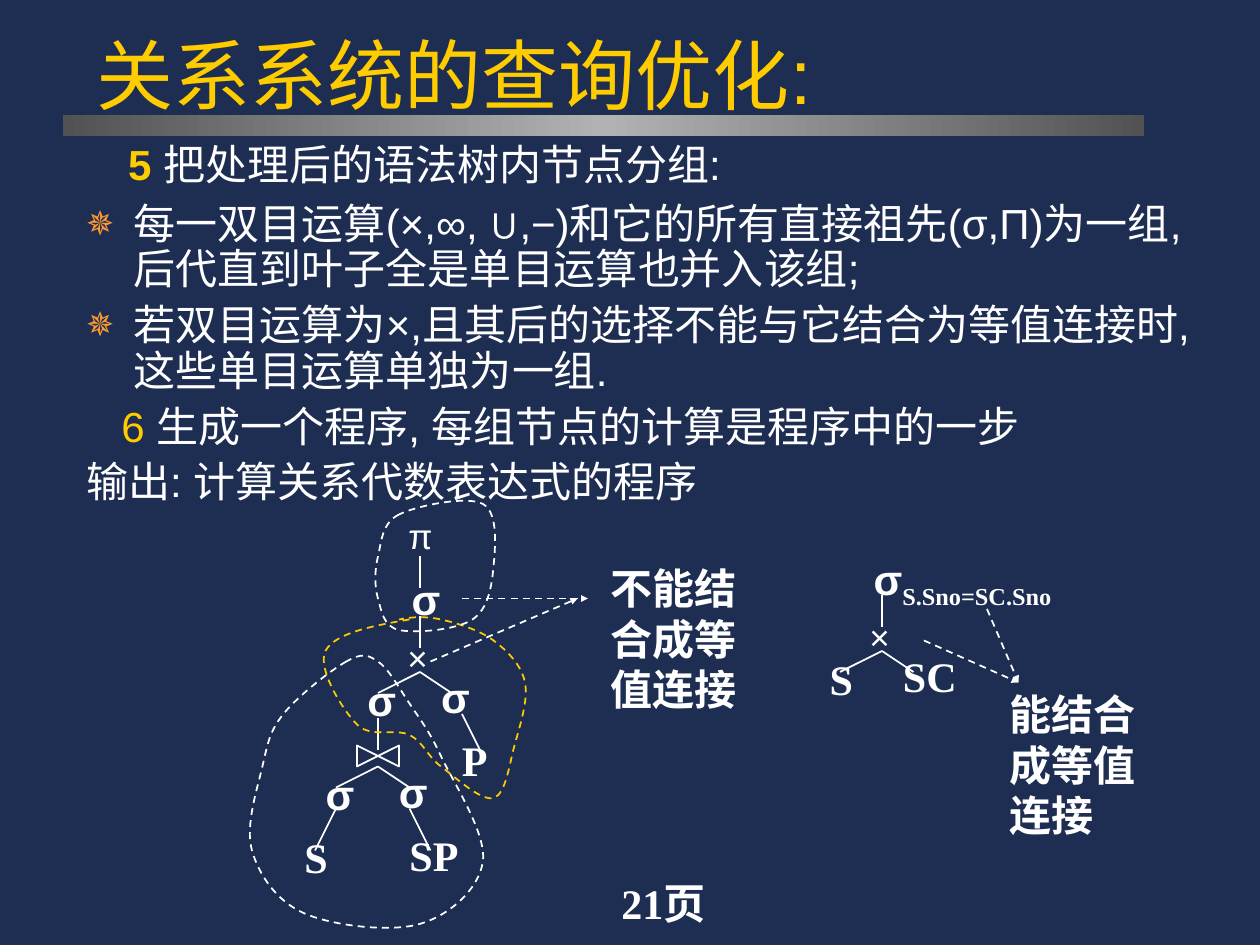
import copy
from dataclasses import dataclass

from pptx import Presentation
from pptx import util as u
from pptx.dml.color import RGBColor
from pptx.enum import dml, shapes, text
from pptx.oxml.ns import qn
from lxml import etree

COLS, ROWS, PER_INCH = 120, 90, 12
COLORS = {"bg": "1E2E53", "white": "FFFFFF", "gold": "FFCC00",
          "bullet": "FF9933", "dark": "525252", "light": "B2B2B2"}
SANS, SERIF = "Arial", "Times New Roman"


@dataclass
class Label:
    text: str
    x: float
    y: float
    w: float = 3
    font: str = SANS
    size: float = 24
    bold: bool = True


@dataclass
class Line:
    x1: float
    y1: float
    x2: float
    y2: float
    arrow: bool = False


@dataclass
class Curve:
    points: list
    color: str = "white"
    closed: bool = True


LABELS = [
    Label("π", 38.9, 49, size=20, bold=False),
    Label("σ", 39.2, 54.6),
    Label("×", 38.8, 60.6, size=20, bold=False),
    Label("σ", 42, 64),
    Label("σ", 35, 64.2),
    Label("σ", 38, 73),
    Label("σ", 31, 73.2),
    Label("S", 29, 79.2, font=SERIF),
    Label("SP", 39, 79, 5, SERIF),
    Label("P", 44, 70, font=SERIF),
    Label("×", 82.8, 58.6, size=20, bold=False),
    Label("SC", 86, 62, 6, SERIF),
    Label("S", 79, 62.2, font=SERIF),
]
LINES = [
    Line(40, 53, 40, 56), Line(40, 58.7, 40, 61.7),
    Line(40, 64, 36, 66), Line(40, 64, 43, 66),
    Line(36, 73, 32, 75), Line(36, 73, 39, 75),
    Line(36, 68.4, 36, 71.4), Line(32, 77, 30, 81),
    Line(39, 77, 41, 81), Line(44, 68, 46, 72),
    Line(84, 56.7, 84, 59.7), Line(84, 62, 80, 64), Line(84, 62, 87, 64),
    Line(44, 57, 56, 57, True), Line(41, 63, 55, 57, True),
    Line(94, 58, 97, 65, True), Line(88, 61, 97, 65, True),
]
CURVES = [
    Curve([(33, 63), (27, 68), (25, 73), (24, 81), (29, 87), (40, 88),
           (46, 82), (42, 72), (39, 67), (36, 63)]),
    Curve([(52.5, 58.4), (39, 59), (31, 62), (34, 69), (39, 70), (42, 73),
           (47, 76), (49, 71), (50, 65), (47, 61), (42, 59), (38, 59),
           (35, 60.5)], "gold", False),
    Curve([(38, 49), (36, 53), (36, 57), (38, 60), (45, 59), (47, 54),
           (46, 48)]),
]


def cells(*values: float) -> list:
    return [u.Inches(v / PER_INCH) for v in values]


def rgb(name: str) -> RGBColor:
    return RGBColor.from_string(COLORS[name])


def write(p, words, size=24, font=SANS, color="white", bold=False, baseline=0):
    r = p.add_run()
    r.text = words
    r.font.size, r.font.name, r.font.bold = u.Pt(size), font, bold
    r.font.color.rgb = rgb(color)
    if baseline:
        r._r.get_or_add_rPr().set("baseline", str(baseline * 1000))


def frame(sp, inset=(0.1, 0.05), anchor=text.MSO_ANCHOR.TOP):
    tf = sp.text_frame
    tf.word_wrap, tf.auto_size = True, text.MSO_AUTO_SIZE.NONE
    tf.vertical_anchor = anchor
    tf.margin_left = tf.margin_right = u.Inches(inset[0])
    tf.margin_top = tf.margin_bottom = u.Inches(inset[1])
    return tf


def text_box(s, x, y, w, h, inset=(0.1, 0.05)):
    return frame(s.shapes.add_textbox(*cells(x, y, w, h)), inset).paragraphs[0]


def place(sp, x, y, w, h):
    sp.left, sp.top, sp.width, sp.height = cells(x, y, w, h)


def format_item(p, left: float, first: float, bullet: str = ""):
    p.alignment = text.PP_ALIGN.LEFT
    p.line_spacing, p.space_before, p.space_after = 0.9, u.Pt(6), u.Pt(0)
    ppr = p._p.get_or_add_pPr()
    ppr.set("marL", str(u.Inches(left)))
    ppr.set("indent", str(u.Inches(first)))
    ppr.set("hangingPunct", "0")
    if not bullet:
        etree.SubElement(ppr, qn("a:buNone"))
        return
    color = etree.SubElement(ppr, qn("a:buClr"))
    etree.SubElement(color, qn("a:srgbClr"), val=COLORS["bullet"])
    etree.SubElement(ppr, qn("a:buSzPct"), val="80000")
    etree.SubElement(ppr, qn("a:buChar"), char=bullet)


def stroke(sp, color: str = "white", dashed: bool = False):
    sp.line.color.rgb, sp.line.width = rgb(color), u.Pt(1)
    if dashed:
        sp.line.dash_style = dml.MSO_LINE.DASH


def draw_line(s, line: Line):
    c = s.shapes.add_connector(shapes.MSO_CONNECTOR.STRAIGHT,
                               *cells(line.x1, line.y1, line.x2, line.y2))
    stroke(c, dashed=line.arrow)
    if line.arrow:
        etree.SubElement(c.line._get_or_add_ln(), qn("a:tailEnd"),
                         type="triangle", w="sm", len="sm")
    etree.SubElement(c._element.spPr, qn("a:effectLst"))


def bezier_points(curve: Curve) -> list:
    pts = curve.points
    if curve.closed:
        pts = [pts[-1], *pts, *pts[:2]]
    out = [pts[1]]
    for a, b, c, d in zip(pts, pts[1:], pts[2:], pts[3:]):
        out.append(tuple(q + (r - p) / 6 for p, q, r in zip(a, b, c)))
        out.append(tuple(q - (r - p) / 6 for p, q, r in zip(b, c, d)))
        out.append(c)
    return [tuple(cells(*pt)) for pt in out]


def draw_curve(s, curve: Curve):
    pts = bezier_points(curve)
    builder = s.shapes.build_freeform(*pts[0])
    builder.add_line_segments(pts[1:], close=curve.closed)
    sp = builder.convert_to_shape()
    segments = sp._element.spPr.findall(".//" + qn("a:lnTo"))
    for triple in zip(segments[::3], segments[1::3], segments[2::3]):
        bend = etree.Element(qn("a:cubicBezTo"))
        triple[0].addprevious(bend)
        for segment in triple:
            bend.append(segment[0])
            segment.getparent().remove(segment)
    sp.shadow.inherit = False
    sp.fill.background()
    stroke(sp, curve.color, True)


def draw_bar(s):
    sp = s.shapes.add_shape(shapes.MSO_SHAPE.RECTANGLE, *cells(6, 11, 103, 2))
    sp.shadow.inherit = False
    sp.line.fill.background()
    sp.fill.gradient()
    sp.fill.gradient_angle = 0
    stops = sp._element.spPr.find(".//" + qn("a:gsLst"))
    stops.append(copy.deepcopy(stops[0]))
    for stop, pos, color in zip(sp.fill.gradient_stops, (0, 0.5, 1),
                                ("dark", "light", "dark")):
        stop.position, stop.color.rgb = pos, rgb(color)


def fill_body(sp):
    items = [
        (0.21, 0, "", [(" ", {"size": 32}), ("5 ", {"color": "gold", "bold": True}),
                       ("把处理后的语法树内节点分组:", {})]),
        (0.38, -0.38, "✵", [("每一双目运算(×,∞, ∪,−)和它的所有直接祖先(σ,Π)为一组,"
                             "后代直到叶子全是单目运算也并入该组;", {})]),
        (0.38, -0.38, "✵", [("若双目运算为×,且其后的选择不能与它结合为等值连接时,"
                             "这些单目运算单独为一组.", {})]),
        (0.28, 0, "", [("6 ", {"color": "gold"}),
                       ("生成一个程序, 每组节点的计算是程序中的一步", {})]),
        (0.38, -0.38, "", [("输出: 计算关系代数表达式的程序", {})]),
    ]
    tf = frame(sp)
    for i, (left, first, bullet, runs) in enumerate(items):
        p = tf.add_paragraph() if i else tf.paragraphs[0]
        format_item(p, left, first, bullet)
        for words, fmt in runs:
            write(p, words, **fmt)


def main():
    prs = Presentation()
    prs.slide_width, prs.slide_height = cells(COLS, ROWS)
    s = prs.slides.add_slide(prs.slide_layouts[1])
    s.background.fill.solid()
    s.background.fill.fore_color.rgb = rgb("bg")
    title, body = s.shapes.title, s.placeholders[1]
    place(title, 8, 2, 102, 10)
    p = frame(title, anchor=text.MSO_ANCHOR.BOTTOM).paragraphs[0]
    p.alignment = text.PP_ALIGN.LEFT
    write(p, "关系系统的查询优化:", size=44, color="gold")
    place(body, 7, 12, 110, 65.9)
    fill_body(body)
    draw_bar(s)
    for line in LINES:
        draw_line(s, line)
    for a in LABELS:
        write(text_box(s, a.x, a.y, a.w, a.size / 5, (0, 0)), a.text,
              size=a.size, font=a.font, bold=a.bold)
    p = text_box(s, 83.2, 52.7, 28.8, 5.5, (0, 0))
    write(p, "σ", bold=True)
    write(p, "S.Sno=SC.Sno", font=SERIF, bold=True, baseline=-25)
    join = s.shapes.add_shape(shapes.MSO_SHAPE.FLOWCHART_COLLATE, *cells(35, 70, 2, 4))
    join.rotation, join.shadow.inherit = 90, False
    join.fill.background()
    stroke(join)
    for curve in CURVES:
        draw_curve(s, curve)
    for words, *box in [("不能结合成等值连接", 57, 53, 15, 15.6),
                        ("能结合成等值连接", 95, 65, 15, 15.6), ("21页", 58, 83, 29, 6)]:
        write(text_box(s, *box), words, font=SERIF, bold=True)
    prs.save("out.pptx")


if __name__ == "__main__":
    main()
